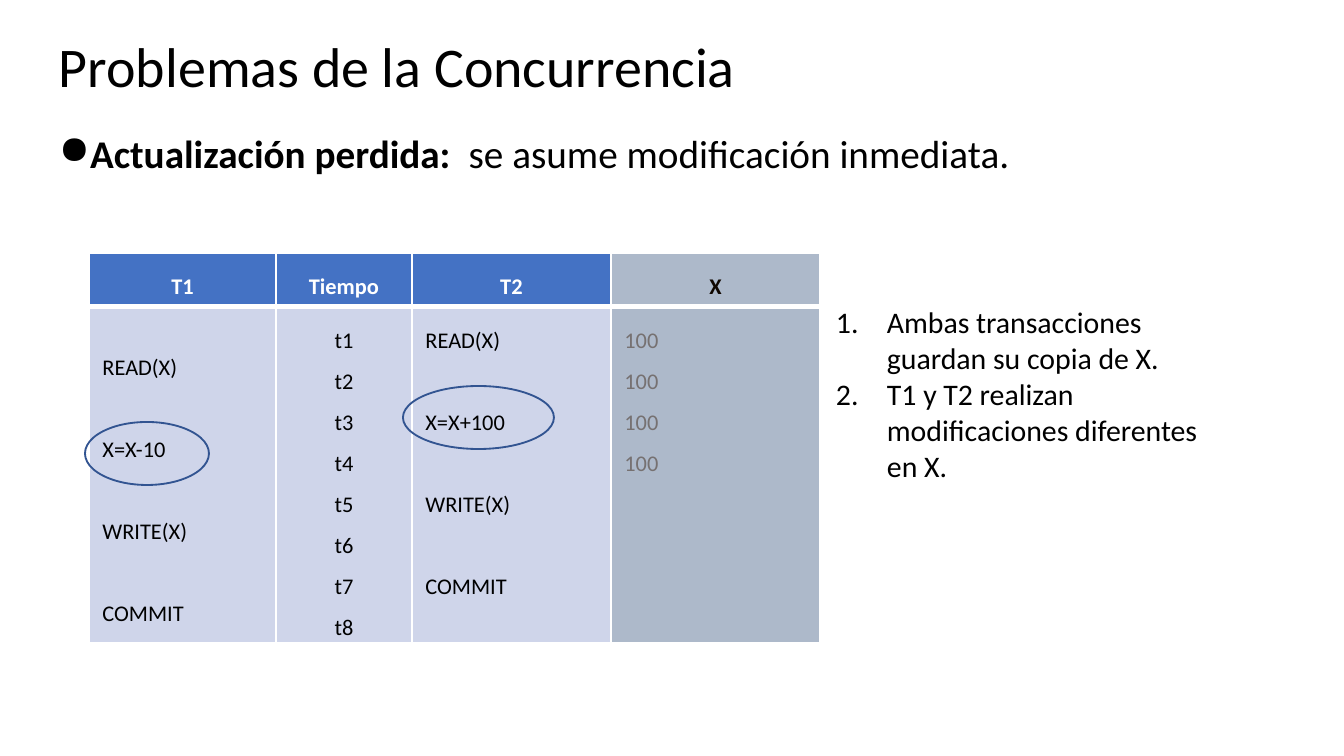
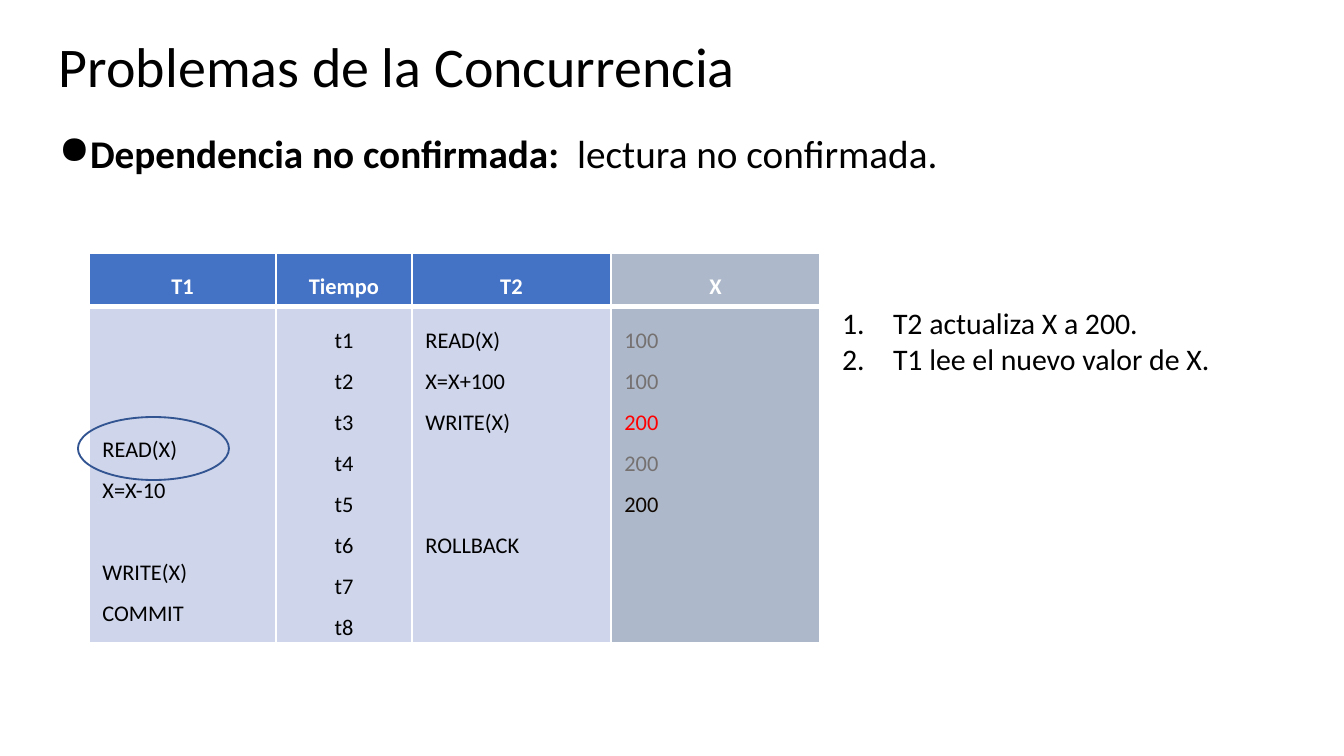
"""Build two slides on concurrency problems between transactions."""
from lxml import etree
from pptx import Presentation
from pptx import util as u
from pptx.dml.color import RGBColor
from pptx.enum import shapes, text
from pptx.oxml.ns import qn

FONT = "Calibri"
BLACK = RGBColor(0x00, 0x00, 0x00)
WHITE = RGBColor(0xFF, 0xFF, 0xFF)
HEADER_BLUE = RGBColor(0x44, 0x72, 0xC4)
PALE_BLUE = RGBColor(0xCF, 0xD5, 0xEA)
GRAY_BLUE = RGBColor(0xAD, 0xB9, 0xCA)
OUTLINE_BLUE = RGBColor(0x32, 0x54, 0x91)
INK = RGBColor(0x10, 0x07, 0x00)
GRAY = RGBColor(0x76, 0x71, 0x71)
RED = RGBColor(0xFF, 0x00, 0x00)

PX_PER_INCH = 134.4
HEADINGS = ["T1", "Tiempo", "T2", "X"]
COLUMN_WIDTHS = [187, 136, 199, 209]
ROW_HEIGHTS = [47, 277]
TIMES = {slot: f"t{slot}" for slot in range(1, 9)}
SLOT_POINTS = 22
SLOT_HEIGHT = 41
FIRST_SLOT_HEIGHT = 27
CELL_TOP = 7


def px(length):
    """Turn whole pixels into EMU."""
    return u.Emu(round(length * u.Inches(1) / PX_PER_INCH))


def add_run(paragraph, words, size, color=BLACK, bold=False):
    """Add one formatted run."""
    run = paragraph.add_run()
    run.text = words
    run.font.name = FONT
    run.font.size = u.Pt(size)
    run.font.bold = bold
    run.font.color.rgb = color


def add_text_frame(slide, box, inset=13, anchor=text.MSO_ANCHOR.TOP):
    """Add a wrapping text box and return its frame."""
    frame = slide.shapes.add_textbox(*map(px, box)).text_frame
    frame.word_wrap = True
    frame.vertical_anchor = anchor
    frame.margin_left = frame.margin_right = px(13)
    frame.margin_top = frame.margin_bottom = px(inset)
    return frame


def add_bullet(paragraph, left, indent, tag, **attributes):
    """Give a paragraph a hanging bullet or number."""
    properties = paragraph._p.get_or_add_pPr()
    properties.set("marL", str(px(left)))
    properties.set("indent", str(px(indent)))
    etree.SubElement(properties, qn(tag), attributes)


def add_heading(slide, term, meaning):
    """Add the shared title and the problem's definition."""
    frame = add_text_frame(slide, (46, 23, 1253, 93), anchor=text.MSO_ANCHOR.MIDDLE)
    title = frame.paragraphs[0]
    title.line_spacing = 0.9
    add_run(title, "Problemas de la Concurrencia", 30)
    definition = add_text_frame(slide, (46, 116, 1253, 555)).paragraphs[0]
    add_bullet(definition, 27, -38, "a:buChar", char="●")
    add_run(definition, term + " ", 21, bold=True)
    add_run(definition, " " + meaning, 21)


def set_border(cell, side, points):
    """Draw one white cell border."""
    line = etree.SubElement(cell._tc.get_or_add_tcPr(), qn("a:ln" + side), w=str(u.Pt(points)))
    fill = etree.SubElement(line, qn("a:solidFill"))
    etree.SubElement(fill, qn("a:srgbClr"), val=str(WHITE))


def style_cell(cell, color, top, bottom):
    """Set a cell's borders and fill."""
    for side, points in zip("LRTB", (1, 1, top, bottom)):
        set_border(cell, side, points)
    cell.fill.solid()
    cell.fill.fore_color.rgb = color


def fill_slots(cell, entries, colors, centered):
    """Write each entry at its time slot."""
    frame = cell.text_frame
    previous = 0
    for slot, words in entries.items():
        skipped = slot - previous - 1
        if previous:
            paragraph = frame.add_paragraph()
            paragraph.space_before = u.Pt(SLOT_POINTS * skipped)
        else:
            paragraph = frame.paragraphs[0]
            if skipped:
                cell.margin_top = px(CELL_TOP + FIRST_SLOT_HEIGHT + SLOT_HEIGHT * (skipped - 1))
        paragraph.line_spacing = 1.5
        if centered:
            paragraph.alignment = text.PP_ALIGN.CENTER
        add_run(paragraph, words, 12, colors.get(slot, BLACK))
        previous = slot


def add_schedule(slide, first, second, values, value_colors, x_color):
    """Add the table of both transactions over time."""
    box = (89, 253, sum(COLUMN_WIDTHS), sum(ROW_HEIGHTS))
    table = slide.shapes.add_table(2, len(HEADINGS), *map(px, box)).table
    table.horz_banding = False
    for row, height in zip(table.rows, ROW_HEIGHTS):
        row.height = px(height)
    columns = [first, TIMES, second, values]
    for index, (heading, entries) in enumerate(zip(HEADINGS, columns)):
        is_value = heading == "X"
        table.columns[index].width = px(COLUMN_WIDTHS[index])
        header, body = table.cell(0, index), table.cell(1, index)
        style_cell(header, GRAY_BLUE if is_value else HEADER_BLUE, 1, 3)
        style_cell(body, GRAY_BLUE if is_value else PALE_BLUE, 3, 1)
        paragraph = header.text_frame.paragraphs[0]
        paragraph.alignment = text.PP_ALIGN.CENTER
        paragraph.line_spacing = 1.5
        add_run(paragraph, heading, 12, x_color if is_value else WHITE, bold=True)
        fill_slots(body, entries, value_colors if is_value else {}, entries is TIMES)


def add_steps(slide, box, steps):
    """Add the numbered explanation."""
    frame = add_text_frame(slide, box, inset=7)
    for index, step in enumerate(steps):
        paragraph = frame.add_paragraph() if index else frame.paragraphs[0]
        add_bullet(paragraph, 51, -51, "a:buAutoNum", type="arabicPeriod")
        add_run(paragraph, step, 16)


def add_highlight(slide, left, top, width):
    """Circle an operation in the schedule."""
    ellipse = slide.shapes.add_shape(shapes.MSO_SHAPE.OVAL, *map(px, (left, top, width, 63)))
    ellipse.shadow.inherit = False
    ellipse.fill.background()
    ellipse.line.color.rgb = OUTLINE_BLUE
    ellipse.line.width = u.Pt(1)


def add_lost_update(slide):
    """Build the lost update slide."""
    add_heading(slide, "Actualización perdida:", "se asume modificación inmediata.")
    add_schedule(
        slide,
        {2: "READ(X)", 4: "X=X-10", 6: "WRITE(X)", 8: "COMMIT"},
        {1: "READ(X)", 3: "X=X+100", 5: "WRITE(X)", 7: "COMMIT"},
        dict.fromkeys(range(1, 5), "100"),
        dict.fromkeys(range(1, 5), GRAY),
        INK,
    )
    add_steps(slide, (823, 297, 414, 195), [
        "Ambas transacciones guardan su copia de X.",
        "T1 y T2 realizan modificaciones diferentes en X.",
    ])
    add_highlight(slide, 85, 422, 124)
    add_highlight(slide, 403, 386, 151)


def add_uncommitted_dependency(slide):
    """Build the uncommitted dependency slide."""
    add_heading(slide, "Dependencia no confirmada:", "lectura no confirmada.")
    add_schedule(
        slide,
        {4: "READ(X)", 5: "X=X-10", 7: "WRITE(X)", 8: "COMMIT"},
        {1: "READ(X)", 2: "X=X+100", 3: "WRITE(X)", 6: "ROLLBACK"},
        {1: "100", 2: "100", 3: "200", 4: "200", 5: "200"},
        {1: GRAY, 2: GRAY, 3: RED, 4: GRAY, 5: INK},
        WHITE,
    )
    add_steps(slide, (829, 298, 437, 86), [
        "T2 actualiza X a 200.",
        "T1 lee el nuevo valor de X.",
    ])
    add_highlight(slide, 78, 417, 151)


def main():
    """Build and save the presentation."""
    presentation = Presentation()
    presentation.slide_width = px(1344)
    presentation.slide_height = px(756)
    for build in (add_lost_update, add_uncommitted_dependency):
        build(presentation.slides.add_slide(presentation.slide_layouts[6]))
    presentation.save("out.pptx")


if __name__ == "__main__":
    main()
